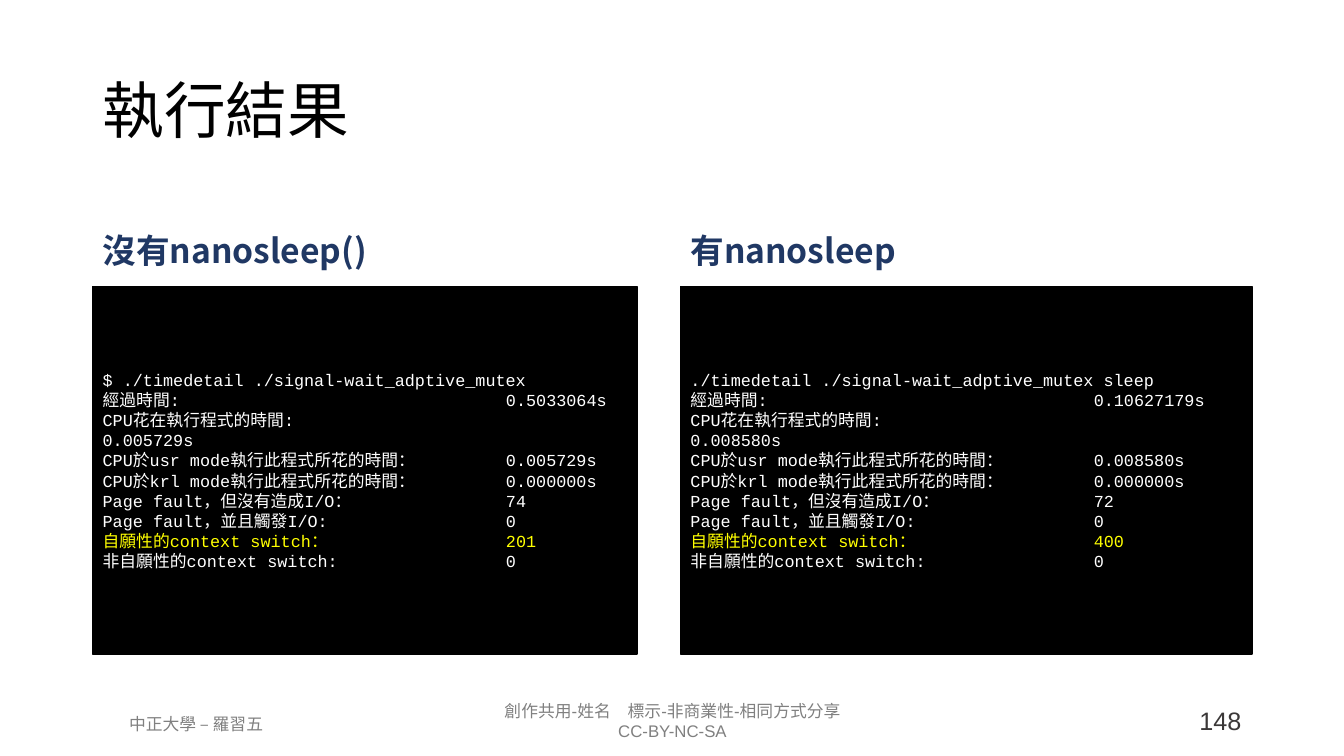
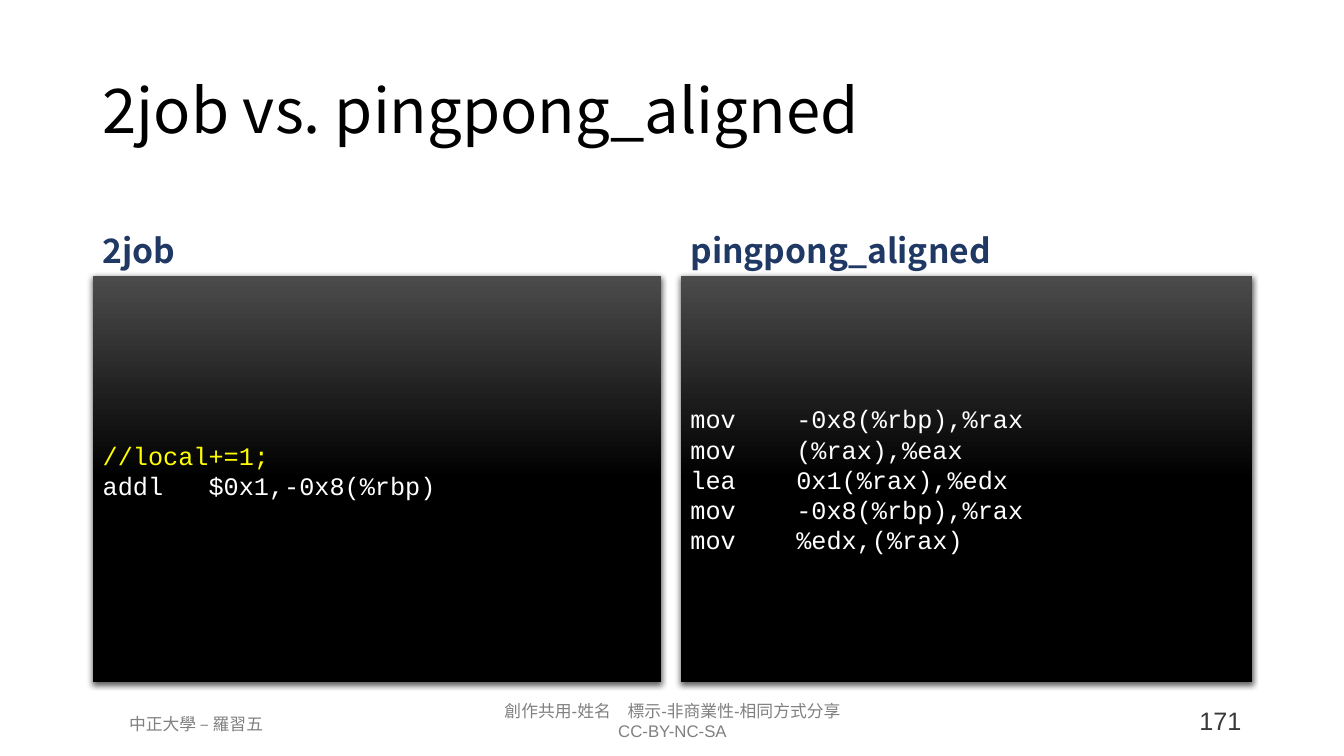
from dataclasses import dataclass

from lxml import etree
from pptx import Presentation
from pptx.dml.color import RGBColor
from pptx.enum.shapes import MSO_SHAPE
from pptx.enum.text import MSO_ANCHOR, PP_ALIGN
from pptx.oxml.ns import qn
from pptx.shapes.autoshape import Shape
from pptx.slide import Slide
from pptx.util import Pt

PX = 9144  # EMU per px, 100 px to the inch
SLIDE_SIZE = (1333, 750)

BLACK = RGBColor(0x00, 0x00, 0x00)
WHITE = RGBColor(0xFF, 0xFF, 0xFF)
YELLOW = RGBColor(0xFF, 0xFF, 0x00)
NAVY = RGBColor(0x20, 0x38, 0x64)
GREY = RGBColor(0x80, 0x80, 0x80)
DARK_GREY = RGBColor(0x3B, 0x38, 0x38)
GLOSS = RGBColor(0x4B, 0x4B, 0x4B)

RECTANGLE = MSO_SHAPE.RECTANGLE
TOP, MIDDLE, BOTTOM = MSO_ANCHOR.TOP, MSO_ANCHOR.MIDDLE, MSO_ANCHOR.BOTTOM
LEFT, CENTER, RIGHT = PP_ALIGN.LEFT, PP_ALIGN.CENTER, PP_ALIGN.RIGHT

CJK_FONT = "Noto Sans CJK SC"
CODE_TABS = (400, 500)
CODE_INSET = 10


@dataclass(frozen=True)
class Box:
    left: int
    top: int
    width: int
    height: int

    def emu(self) -> tuple[int, ...]:
        return tuple(n * PX for n in (self.left, self.top, self.width, self.height))


@dataclass(frozen=True)
class Style:
    size: int
    color: RGBColor
    font: str = CJK_FONT
    bold: bool = False
    align: PP_ALIGN = LEFT
    anchor: MSO_ANCHOR = TOP
    spacing: float = 1.0


@dataclass(frozen=True)
class Panel:
    heading: str
    code: list[str]
    box: Box
    highlight: str = ""
    extra_bottom: int = 0


@dataclass(frozen=True)
class Comparison:
    title: str
    number: int
    code_size: int
    glossy: bool
    panels: tuple[Panel, Panel]


TITLE = Style(44, BLACK, anchor=MIDDLE, spacing=0.9)
HEADING = Style(24, NAVY, bold=True, anchor=BOTTOM, spacing=0.9)
FOOTER = Style(12, GREY, "Arial", align=CENTER)
PAGE_NUMBER = Style(18, DARK_GREY, "Arial", align=RIGHT)

TITLE_BOX = Box(92, 40, 1150, 145)
HEADING_TOP, HEADING_HEIGHT = 184, 90
LICENSE_BOX = Box(421, 690, 492, 50)
AUTHOR_BOX = Box(69, 703, 251, 30)
NUMBER_BOX = Box(996, 695, 245, 40)

LICENSE = "創作共用-姓名　標示-非商業性-相同方式分享\nCC-BY-NC-SA"
AUTHOR = "中正大學 – 羅習五"

SWITCH_LABEL = "自願性的context switch："
MEASURES = (
    "經過時間:\t",
    "CPU花在執行程式的時間:\t\t",
    "CPU於usr mode執行此程式所花的時間：\t",
    "CPU於krl mode執行此程式所花的時間：\t",
    "Page fault，但沒有造成I/O：\t",
    "Page fault，並且觸發I/O:\t",
    SWITCH_LABEL + "\t",
    "非自願性的context switch:\t",
)


def timing_report(command: str, *values: str) -> list[str]:
    return [command] + [label + value for label, value in zip(MEASURES, values)]


COMPARISONS = (
    Comparison("執行結果", 148, 12, False, (
        Panel(
            "沒有nanosleep()",
            timing_report(
                "$ ./timedetail ./signal-wait_adptive_mutex",
                "0.5033064s", "0.005729s", "0.005729s", "0.000000s",
                "74", "0", "201", "0",
            ),
            Box(92, 284, 540, 365),
            SWITCH_LABEL,
        ),
        Panel(
            "有nanosleep",
            timing_report(
                "./timedetail ./signal-wait_adptive_mutex sleep",
                "0.10627179s", "0.008580s", "0.008580s", "0.000000s",
                "72", "0", "400", "0",
            ),
            Box(675, 284, 567, 365),
            SWITCH_LABEL,
        ),
    )),
    Comparison("2job vs. pingpong_aligned", 171, 18, True, (
        Panel(
            "2job",
            ["//local+=1;", "addl   $0x1,-0x8(%rbp)"],
            Box(92, 274, 564, 403),
            "//",
            extra_bottom=17,
        ),
        Panel(
            "pingpong_aligned",
            [
                "mov    -0x8(%rbp),%rax",
                "mov    (%rax),%eax",
                "lea    0x1(%rax),%edx",
                "mov    -0x8(%rbp),%rax",
                "mov    %edx,(%rax)",
            ],
            Box(675, 274, 567, 403),
        ),
    )),
)


def write_text(shape: Shape, text: str, style: Style) -> None:
    frame = shape.text_frame
    frame.word_wrap = True
    frame.vertical_anchor = style.anchor
    frame.text = text
    for paragraph in frame.paragraphs:
        paragraph.alignment = style.align
        paragraph.line_spacing = style.spacing
        for run in paragraph.runs:
            font = run.font
            font.size = Pt(style.size)
            font.bold = style.bold
            font.color.rgb = style.color
            font.name = style.font
            east_asian = etree.Element(qn("a:ea"), typeface=CJK_FONT)
            run._r.get_or_add_rPr().find(qn("a:latin")).addnext(east_asian)


def add_text(slide: Slide, box: Box, text: str, style: Style) -> None:
    write_text(slide.shapes.add_textbox(*box.emu()), text, style)


def add_tab_stops(shape: Shape) -> None:
    for paragraph in shape.text_frame.paragraphs:
        properties = paragraph._p.get_or_add_pPr()
        stops = etree.SubElement(properties, qn("a:tabLst"))
        for position in CODE_TABS:
            etree.SubElement(stops, qn("a:tab"), pos=str(position * PX), algn="l")


def add_soft_shadow(shape: Shape) -> None:
    effects = shape._element.spPr.find(qn("a:effectLst"))
    shadow = etree.SubElement(
        effects, qn("a:outerShdw"), blurRad=str(Pt(4.5)), dist=str(Pt(1.5)),
        dir="5400000", algn="ctr", rotWithShape="0",
    )
    color = etree.SubElement(shadow, qn("a:srgbClr"), val=str(BLACK))
    etree.SubElement(color, qn("a:alpha"), val="63000")


def paint_panel(shape: Shape, glossy: bool) -> None:
    shape.shadow.inherit = False
    if glossy:
        shape.fill.gradient()
        shape.fill.gradient_angle = 270
        stops = shape.fill.gradient_stops
        for stop, position, color in zip(stops, (0, 0.5), (GLOSS, BLACK)):
            stop.position = position
            stop.color.rgb = color
        shape.line.fill.background()
        add_soft_shadow(shape)
    else:
        shape.fill.solid()
        shape.fill.fore_color.rgb = BLACK
        shape.line.color.rgb = BLACK
        shape.line.width = Pt(1)


def add_panel(slide: Slide, panel: Panel, code_size: int, glossy: bool) -> None:
    box = panel.box
    heading_box = Box(box.left, HEADING_TOP, box.width, HEADING_HEIGHT)
    add_text(slide, heading_box, panel.heading, HEADING)

    terminal = slide.shapes.add_shape(RECTANGLE, *box.emu())
    paint_panel(terminal, glossy)
    style = Style(code_size, WHITE, "Courier New", anchor=MIDDLE)
    write_text(terminal, "\n".join(panel.code), style)
    frame = terminal.text_frame
    frame.margin_left = frame.margin_right = CODE_INSET * PX
    frame.margin_bottom = (5 + panel.extra_bottom) * PX
    if any("\t" in line for line in panel.code):
        add_tab_stops(terminal)
    for paragraph in frame.paragraphs:
        if panel.highlight and paragraph.text.startswith(panel.highlight):
            for run in paragraph.runs:
                run.font.color.rgb = YELLOW


def add_footer(slide: Slide, number: int) -> None:
    add_text(slide, LICENSE_BOX, LICENSE, FOOTER)
    add_text(slide, AUTHOR_BOX, AUTHOR, FOOTER)
    add_text(slide, NUMBER_BOX, str(number), PAGE_NUMBER)


def main() -> None:
    deck = Presentation()
    deck.slide_width, deck.slide_height = (n * PX for n in SLIDE_SIZE)
    blank = deck.slide_layouts[6]
    for comparison in COMPARISONS:
        slide = deck.slides.add_slide(blank)
        add_footer(slide, comparison.number)
        add_text(slide, TITLE_BOX, comparison.title, TITLE)
        for panel in comparison.panels:
            add_panel(slide, panel, comparison.code_size, comparison.glossy)
    deck.save("out.pptx")


if __name__ == "__main__":
    main()
